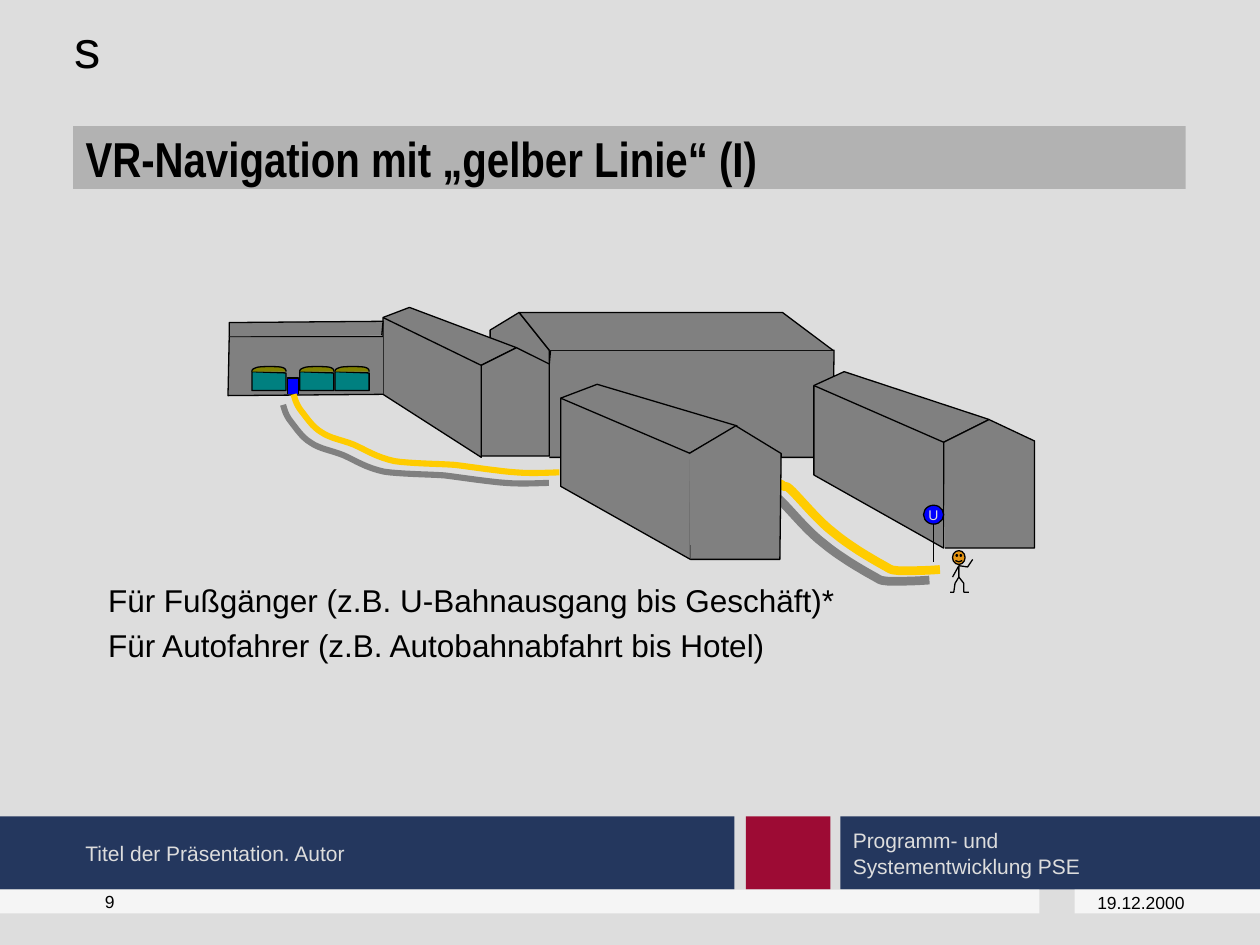
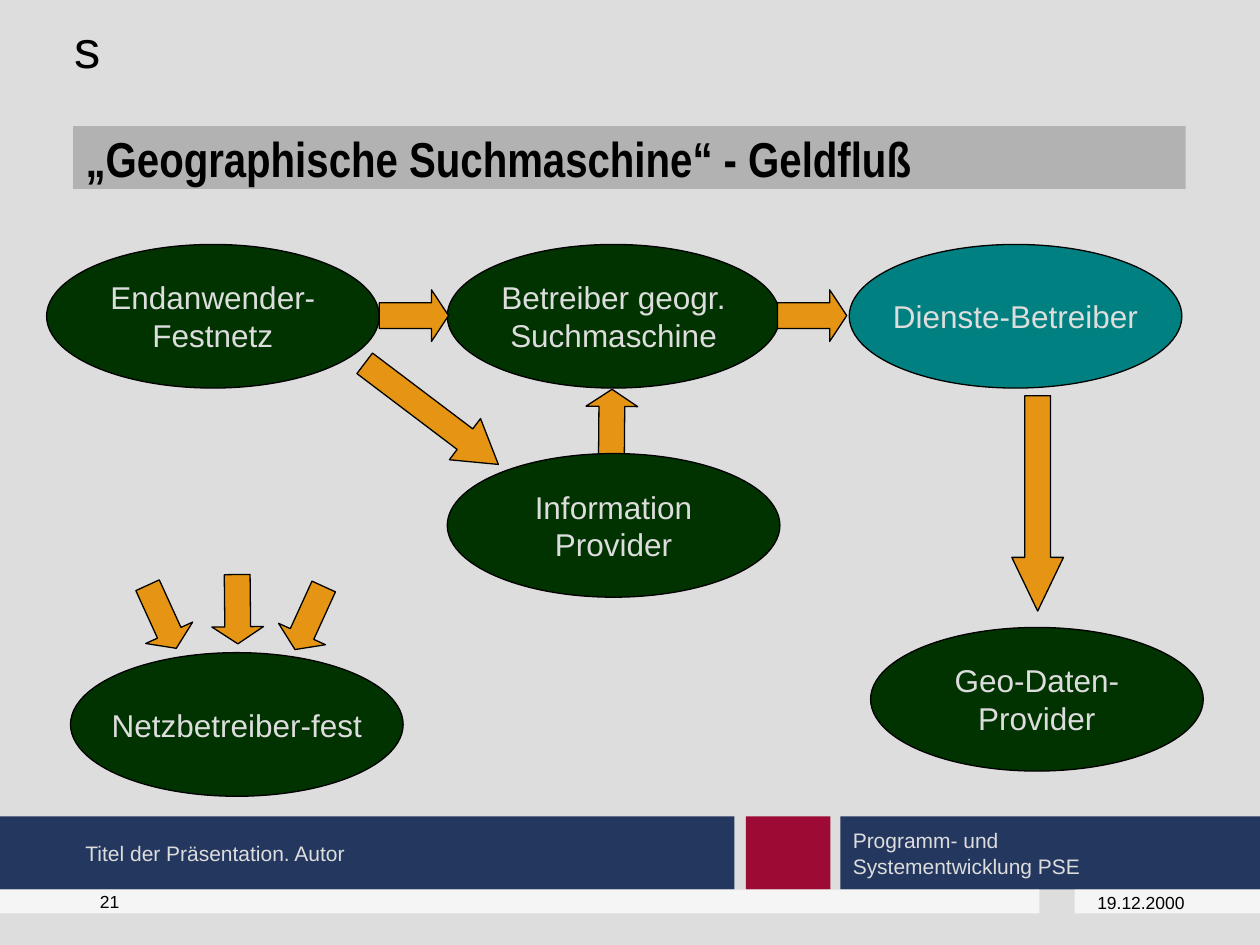
import pptx
import pptx.util
import pptx.dml.color
import pptx.enum.shapes
import pptx.enum.text
import pptx.oxml
import pptx.oxml.ns

Inches, Pt = pptx.util.Inches, pptx.util.Pt
SHAPE = pptx.enum.shapes.MSO_SHAPE
ALIGN = pptx.enum.text.PP_ALIGN
ANCHOR = pptx.enum.text.MSO_ANCHOR

COLORS = dict(
    paper="DDDDDD", bar="B2B2B2", navy="24375E", red="9D0B34", strip="F5F5F5",
    black="000000", wall="808080", yellow="FFCC00", blue="0000FF",
    teal="008080", olive="808000", orange="E59513", green="003300",
)

# Shared content
TITLES = ["VR-Navigation mit „gelber Linie“ (I)",
          "„Geographische Suchmaschine“ - Geldfluß"]
NUMBERS = ["9", "21"]
AUTHOR = "Titel der Präsentation. Autor"
UNIT = "Programm- und\nSystementwicklung PSE"
DATE = "19.12.2000"
BANDS = [  # left, top, width, height, colour, text
    (5.92, 6.48, 0.67, 0.58, "red", ""),
    (0, 6.48, 5.83, 0.58, "navy", ""),
    (6.67, 6.48, 3.33, 0.58, "navy", UNIT),
    (0, 7.06, 8.25, 0.19, "strip", ""),
    (8.53, 7.06, 1.47, 0.19, "strip", ""),
]

# Street scene: house faces from back to front
FACES = [
    [(4.36, 3.63), (6.61, 3.63), (6.62, 2.78), (4.37, 2.78), (4.36, 2.89)],
    [(7.49, 3.51), (7.85, 3.33), (6.7, 2.95), (6.46, 3.06)],
    [(7.49, 3.51), (7.85, 3.33), (8.21, 3.5), (8.21, 4.35), (7.5, 4.35)],
    [(6.46, 3.06), (7.49, 3.51), (7.49, 4.35), (6.46, 3.77), (6.46, 3.06)],
    [(5.47, 3.6), (5.85, 3.38), (4.74, 3.05), (4.45, 3.16)],
    [(4.45, 3.16), (5.48, 3.6), (5.48, 4.44), (4.45, 3.86), (4.45, 3.16)],
    [(4.36, 2.9), (4.36, 2.78), (4.12, 2.48), (3.89, 2.62), (3.89, 2.71)],
    [(4.36, 2.78), (4.12, 2.48), (6.21, 2.48), (6.61, 2.78)],
    [(3.82, 2.9), (4.1, 2.76), (3.25, 2.44), (3.04, 2.52)],
    [(3.82, 2.9), (4.1, 2.76), (4.36, 2.89), (4.36, 3.62), (3.82, 3.62)],
    [(3.04, 2.52), (3.82, 2.9), (3.82, 3.63), (3.04, 3.13), (3.04, 2.52)],
    [(3.04, 2.67), (1.82, 2.67), (1.81, 3.14), (3.04, 3.13)],
    [(3.03, 2.66), (3.04, 2.55), (1.82, 2.56), (1.82, 2.67)],
    [(5.47, 3.6), (5.84, 3.38), (6.2, 3.6), (6.19, 4.44), (5.48, 4.44)],
]
DOOR = [(2.28, 3.13), (2.28, 3), (2.37, 3), (2.37, 3.13)]
PANES = [2.38, 2.66, 2]
PANE = [(0, 2.95), (0, 3.1), (0.27, 3.1), (0.27, 2.96), (0, 2.95)]
AWNING = [(0, 2.95), (0, 2.94), (0, 2.93), (0.03, 2.92), (0.05, 2.91),
          (0.1, 2.91), (0.14, 2.91), (0.18, 2.91), (0.23, 2.91),
          (0.25, 2.92), (0.27, 2.93), (0.27, 2.94), (0.27, 2.95)]

# Paths: a start point, then two handles and an end point per bend
NEAR = [(7.46, 4.52), (7.33, 4.53), (7.21, 4.53), (7.14, 4.53), (7.06, 4.52),
        (7.09, 4.53), (7, 4.48), (6.91, 4.43), (6.74, 4.33), (6.62, 4.23),
        (6.5, 4.14), (6.36, 3.97), (6.29, 3.9), (6.23, 3.84), (6.24, 3.87),
        (6.22, 3.86), (6.21, 3.85), (6.2, 3.84), (6.19, 3.84)]
FAR = [(4.44, 3.75), (4.38, 3.75), (4.23, 3.76), (4.1, 3.75), (3.96, 3.74),
       (3.77, 3.71), (3.61, 3.69), (3.45, 3.68), (3.26, 3.68), (3.13, 3.66),
       (2.99, 3.63), (2.9, 3.57), (2.81, 3.53), (2.71, 3.49), (2.62, 3.48),
       (2.55, 3.43), (2.48, 3.39), (2.43, 3.31), (2.39, 3.26), (2.35, 3.21),
       (2.34, 3.16), (2.33, 3.13)]
LIMBS = [
    [(7.61, 4.49), (7.61, 4.58), (7.65, 4.63), (7.65, 4.7), (7.69, 4.7)],
    [(7.61, 4.49), (7.61, 4.58), (7.58, 4.63), (7.57, 4.7), (7.54, 4.7)],
    [(7.61, 4.49), (7.68, 4.5), (7.72, 4.44)],
]
POLE = (7.41, 4.46, 7.41, 4.14)
ARM = (7.61, 4.49, 7.56, 4.58)
USES = ["Für Fußgänger (z.B. U-Bahnausgang bis Geschäft)*",
        "Für Autofahrer (z.B. Autobahnabfahrt bis Hotel)"]

# Money flow
OVAL = (2.64, 1.14)
PARTIES = [  # left, top, colour, text
    (3.55, 1.94, "green", "Betreiber geogr.\nSuchmaschine"),
    (6.74, 1.94, "teal", "Dienste-Betreiber"),
    (6.91, 4.98, "green", "Geo-Daten-\nProvider"),
    (0.56, 5.18, "green", "Netzbetreiber-fest"),
    (0.37, 1.94, "green", "Endanwender-\nFestnetz"),
    (3.55, 3.6, "green", "Information\nProvider"),
]
FLOWS = [  # left, top, length, turn, head
    (6.17, 2.3, 0.55, 0, 0.33),
    (7.38, 3.79, 1.71, 90, 1.04),
    (1.01, 4.69, 0.55, 65.5, 0.33),
    (2.18, 4.7, 0.55, 114.5, 0.33),
    (3.01, 2.3, 0.55, 0, 0.33),
    (1.61, 4.63, 0.55, 89.4, 0.33),
    (4.58, 3.16, 0.55, 270.5, 0.33),
    (2.76, 3.08, 1.33, 37.1, 0.81),
]


def rgb(name):
    return pptx.dml.color.RGBColor.from_string(COLORS[name])


def write(shape, text, size=18, color="black", font="Arial", bold=False,
          align=ALIGN.LEFT, anchor=ANCHOR.MIDDLE, wrap=True, pad=0.05):
    frame = shape.text_frame
    frame.text = text
    frame.auto_size = pptx.enum.text.MSO_AUTO_SIZE.NONE
    frame.word_wrap = wrap
    frame.vertical_anchor = anchor
    frame.margin_left = frame.margin_right = Inches(0.1)
    frame.margin_top = frame.margin_bottom = Inches(pad)
    for para in frame.paragraphs:
        para.alignment = align
        para.font.size, para.font.bold, para.font.name = Pt(size), bold, font
        para.font.color.rgb = rgb(color)


def label(slide, box, text, **style):
    write(slide.shapes.add_textbox(*map(Inches, box)), text, **style)


def paint(shape, fill=None, line="black", width=0.75):
    shape.shadow.inherit = False
    if fill:
        shape.fill.solid()
        shape.fill.fore_color.rgb = rgb(fill)
    else:
        shape.fill.background()
    if line:
        shape.line.color.rgb = rgb(line)
        shape.line.width = Pt(width)
    else:
        shape.line.fill.background()
    return shape


def block(slide, kind, box, fill, line="black"):
    return paint(slide.shapes.add_shape(kind, *map(Inches, box)), fill, line)


def trace(slide, points, fill=None, line="black", width=0.75):
    """Draw an outline; it closes if it ends where it began."""
    dots = [(Inches(x), Inches(y)) for x, y in points]
    pen = slide.shapes.build_freeform(*dots[0], scale=1.0)
    pen.add_line_segments(dots[1:], close=dots[0] == dots[-1])
    return paint(pen.convert_to_shape(), fill, line, width)


def bend(points, steps=8):
    """Turn cubic bends into short straight steps."""
    dots = [points[0]]
    for i in range(0, len(points) - 1, 3):
        for n in range(1, steps + 1):
            t = n / steps
            u = 1 - t
            mix = (u ** 3, 3 * u * u * t, 3 * u * t * t, t ** 3)
            dots.append(tuple(sum(m * p[k] for m, p in zip(mix, points[i:i + 4]))
                              for k in (0, 1)))
    return dots


def path(slide, points, width):
    """Draw a yellow path with a hard grey shadow to the lower left."""
    shape = trace(slide, bend(points), line="yellow", width=width)
    effects = shape._element.spPr.find(pptx.oxml.ns.qn("a:effectLst"))
    effects.append(pptx.oxml.parse_xml(
        f'<a:outerShdw {pptx.oxml.ns.nsdecls("a")} dist="{Pt(8.5)}" '
        f'dir="{135 * 60000}" algn="ctr" rotWithShape="0">'
        f'<a:srgbClr val="{COLORS["wall"]}"/></a:outerShdw>'))


def shift(points, dx):
    return [(x + dx, y) for x, y in points]


def stick(slide, ends):
    line = slide.shapes.add_connector(
        pptx.enum.shapes.MSO_CONNECTOR.STRAIGHT, *map(Inches, ends))
    line.line.color.rgb = rgb("black")
    line.line.width = Pt(0.75)
    line._element.spPr.append(pptx.oxml.parse_xml(
        f'<a:effectLst {pptx.oxml.ns.nsdecls("a")}/>'))


def start(deck, title, number):
    """Add a slide with its bands, title and footer."""
    slide = deck.slides.add_slide(deck.slide_layouts[5])
    for *box, color, text in BANDS:
        band = block(slide, SHAPE.RECTANGLE, box, color, None)
        if text:
            write(band, text, size=12, color="paper", wrap=False)
    label(slide, (0.49, 0.08, 1.42, 0.6), "s", size=30, anchor=ANCHOR.TOP)
    head = slide.shapes.title
    head.left, head.top, head.width, head.height = map(Inches, (0.58, 1, 8.83, 0.5))
    head.fill.solid()
    head.fill.fore_color.rgb = rgb("bar")
    write(head, title, size=28, font="Arial Narrow", bold=True, pad=0)
    label(slide, (0.58, 6.48, 5.25, 0.58), AUTHOR, size=12, color="paper")
    label(slide, (0.58, 7.06, 0.58, 0.19), number, size=10, align=ALIGN.CENTER)
    label(slide, (8.53, 7.08, 1.05, 0.17), DATE, size=10, align=ALIGN.CENTER)
    return slide


def street(slide):
    path(slide, NEAR, 5)
    for face in FACES:
        trace(slide, face, "wall")
    # Shop front
    trace(slide, DOOR, "blue")
    for x in PANES:
        trace(slide, shift(PANE, x), "teal")
        trace(slide, shift(bend(AWNING), x), "olive")
    # Underground sign
    stick(slide, POLE)
    sign = block(slide, SHAPE.OVAL, (7.33, 4.01, 0.16, 0.15), "blue")
    write(sign, "U", size=8, color="paper", align=ALIGN.CENTER, wrap=False)
    path(slide, FAR, 3.5)
    # Walker
    block(slide, SHAPE.SMILEY_FACE, (7.56, 4.37, 0.1, 0.11), "orange")
    for limb in LIMBS:
        trace(slide, limb)
    stick(slide, ARM)
    for i, use in enumerate(USES):
        label(slide, (0.76, 4.56 + 0.36 * i, 5.96, 0.4), use,
              anchor=ANCHOR.TOP, wrap=False)


def party(slide, x, y, color, text):
    oval = block(slide, SHAPE.OVAL, (x, y, *OVAL), color)
    write(oval, text, color="paper", align=ALIGN.CENTER, wrap=False)


def money(slide):
    # The last oval covers the foot of its arrow
    for item in PARTIES[:-1]:
        party(slide, *item)
    for x, y, length, turn, head in FLOWS:
        arrow = block(slide, SHAPE.RIGHT_ARROW, (x, y, length, 0.41), "orange")
        arrow.rotation = turn
        arrow.adjustments[0], arrow.adjustments[1] = 0.5, head
    party(slide, *PARTIES[-1])


def main():
    deck = pptx.Presentation()
    deck.slide_width, deck.slide_height = Inches(10), Inches(7.5)
    back = deck.slide_master.background.fill
    back.solid()
    back.fore_color.rgb = rgb("paper")
    for title, number, draw in zip(TITLES, NUMBERS, (street, money)):
        draw(start(deck, title, number))
    deck.save("out.pptx")


if __name__ == "__main__":
    main()
